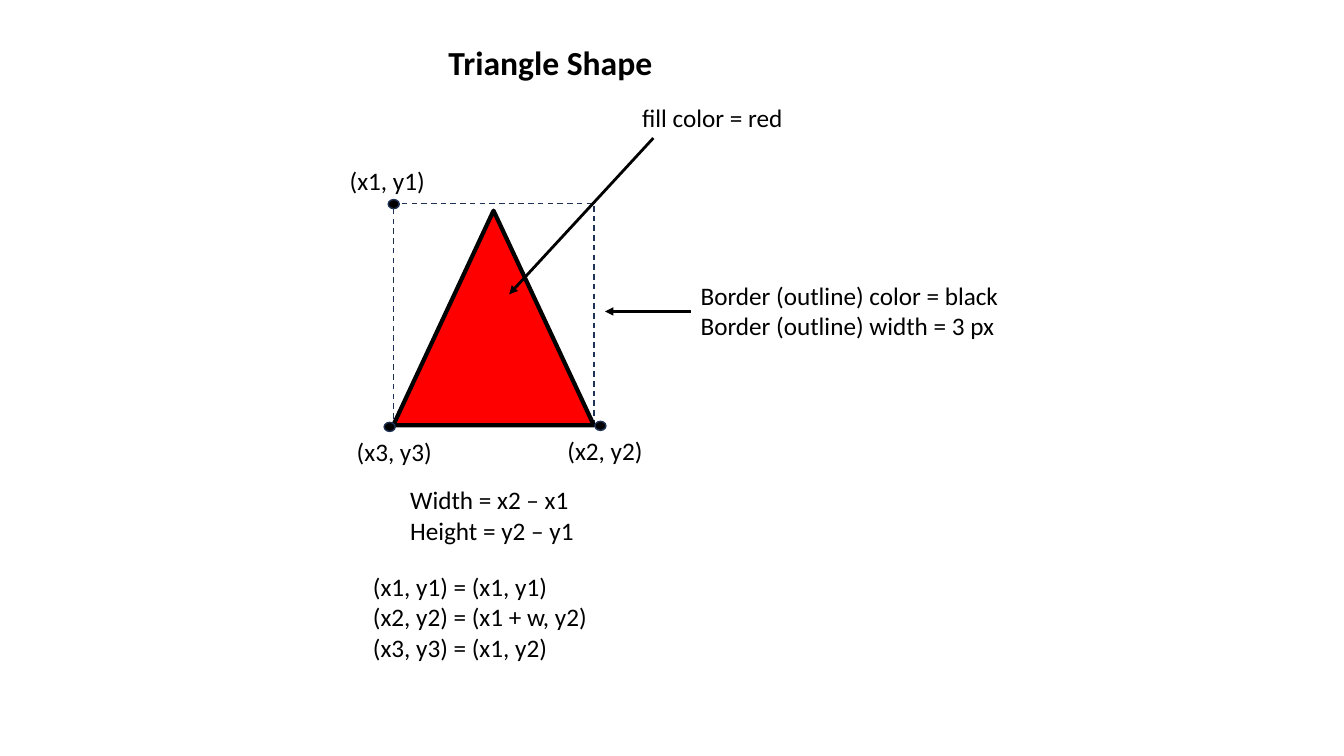
from dataclasses import dataclass

from lxml.etree import SubElement
from pptx import Presentation
from pptx.dml.color import RGBColor
from pptx.enum.dml import MSO_LINE
from pptx.enum.shapes import MSO_CONNECTOR, MSO_SHAPE
from pptx.enum.text import MSO_AUTO_SIZE
from pptx.oxml.ns import qn
from pptx.util import Inches, Pt

BLACK = RGBColor(0x00, 0x00, 0x00)
RED = RGBColor(0xFF, 0x00, 0x00)
NAVY = RGBColor(0x1E, 0x32, 0x56)
FONT = "Calibri"


@dataclass
class Figure:
    kind: MSO_SHAPE
    left: float
    top: float
    width: float
    height: float
    fill: RGBColor | None
    line: RGBColor
    weight: float = 1
    dash: MSO_LINE | None = None


@dataclass
class Label:
    left: float
    top: float
    width: float
    height: float
    lines: tuple[str, ...]
    size: int = 18
    bold: bool = False


@dataclass
class Arrow:
    start: tuple[float, float]
    end: tuple[float, float]


def corner_dot(left: float, top: float) -> Figure:
    return Figure(MSO_SHAPE.OVAL, left, top, 0.11, 0.09, BLACK, NAVY)


def corner_label(left: float, top: float, text: str) -> Label:
    return Label(left, top, 0.96, 0.4, (text,))


FIGURES = [
    Figure(MSO_SHAPE.RECTANGLE, 3.9, 2.02, 1.99, 2.2, None, NAVY, dash=MSO_LINE.DASH),
    Figure(MSO_SHAPE.ISOSCELES_TRIANGLE, 3.9, 2.09, 1.99, 2.13, RED, BLACK, 3),
    corner_dot(3.85, 1.98),
    corner_dot(5.9, 4.18),
    corner_dot(3.81, 4.19),
]
LABELS = [
    Label(4.35, 0.37, 2.24, 0.5, ("Triangle Shape",), 24, True),
    Label(6.27, 0.97, 1.61, 0.4, ("fill color = red",)),
    corner_label(3.37, 1.59, "(x1, y1)"),
    corner_label(5.53, 4.27, "(x2, y2)"),
    corner_label(3.44, 4.28, "(x3, y3)"),
    Label(6.85, 2.73, 3.19, 0.71,
          ("Border (outline) color = black", "Border (outline) width = 3 px")),
    Label(3.97, 4.76, 1.87, 0.71, ("Width = x2 – x1", "Height = y2 – y1")),
    Label(3.6, 5.62, 2.35, 1.01,
          ("(x1, y1) = (x1, y1)", "(x2, y2) = (x1 + w, y2)", "(x3, y3) = (x1, y2)")),
]
ARROWS = [
    Arrow((6.48, 1.37), (5.05, 2.92)),
    Arrow((6.85, 3.09), (6, 3.09)),
]


def draw_figure(page, figure: Figure) -> None:
    shape = page.shapes.add_shape(
        figure.kind, Inches(figure.left), Inches(figure.top),
        Inches(figure.width), Inches(figure.height))
    shape.shadow.inherit = False
    if figure.fill is None:
        shape.fill.background()
    else:
        shape.fill.solid()
        shape.fill.fore_color.rgb = figure.fill
    shape.line.color.rgb = figure.line
    shape.line.width = Pt(figure.weight)
    if figure.dash is not None:
        shape.line.dash_style = figure.dash


def draw_label(page, label: Label) -> None:
    box = page.shapes.add_textbox(
        Inches(label.left), Inches(label.top),
        Inches(label.width), Inches(label.height))
    frame = box.text_frame
    frame.word_wrap = False
    frame.auto_size = MSO_AUTO_SIZE.SHAPE_TO_FIT_TEXT
    for index, text in enumerate(label.lines):
        para = frame.add_paragraph() if index else frame.paragraphs[0]
        span = para.add_run()
        span.text = text
        span.font.name = FONT
        span.font.size = Pt(label.size)
        span.font.bold = label.bold
        span.font.color.rgb = BLACK


def draw_arrow(page, arrow: Arrow) -> None:
    connector = page.shapes.add_connector(
        MSO_CONNECTOR.STRAIGHT, *map(Inches, arrow.start + arrow.end))
    connector.line.color.rgb = BLACK
    connector.line.width = Pt(2)
    SubElement(connector.line._get_or_add_ln(), qn("a:tailEnd"), type="triangle")
    SubElement(connector._element.spPr, qn("a:effectLst"))


deck = Presentation()
deck.slide_width = Inches(13.33)
deck.slide_height = Inches(7.5)
page = deck.slides.add_slide(deck.slide_layouts[6])
for figure in FIGURES:
    draw_figure(page, figure)
for label in LABELS:
    draw_label(page, label)
for arrow in ARROWS:
    draw_arrow(page, arrow)
deck.save("out.pptx")
